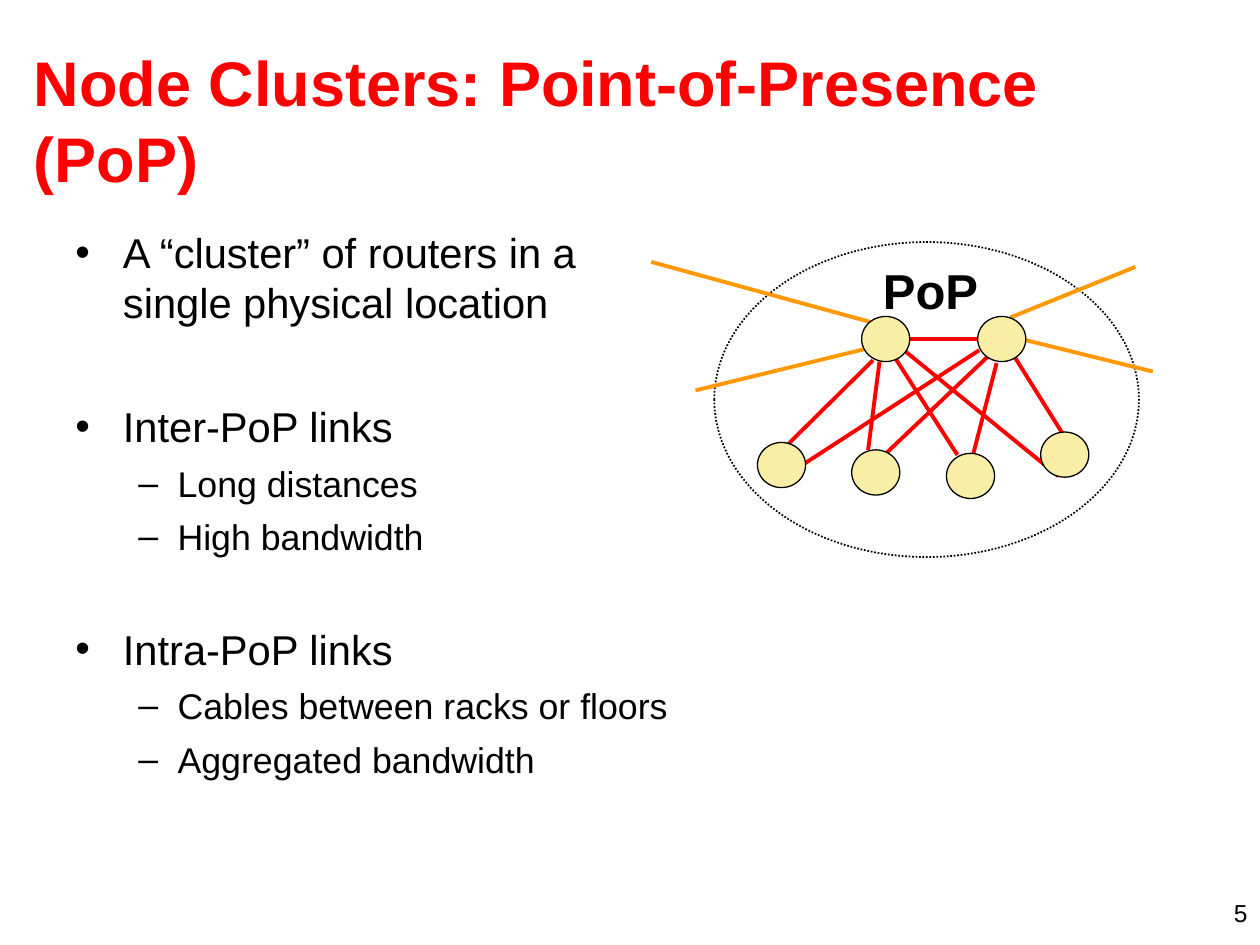
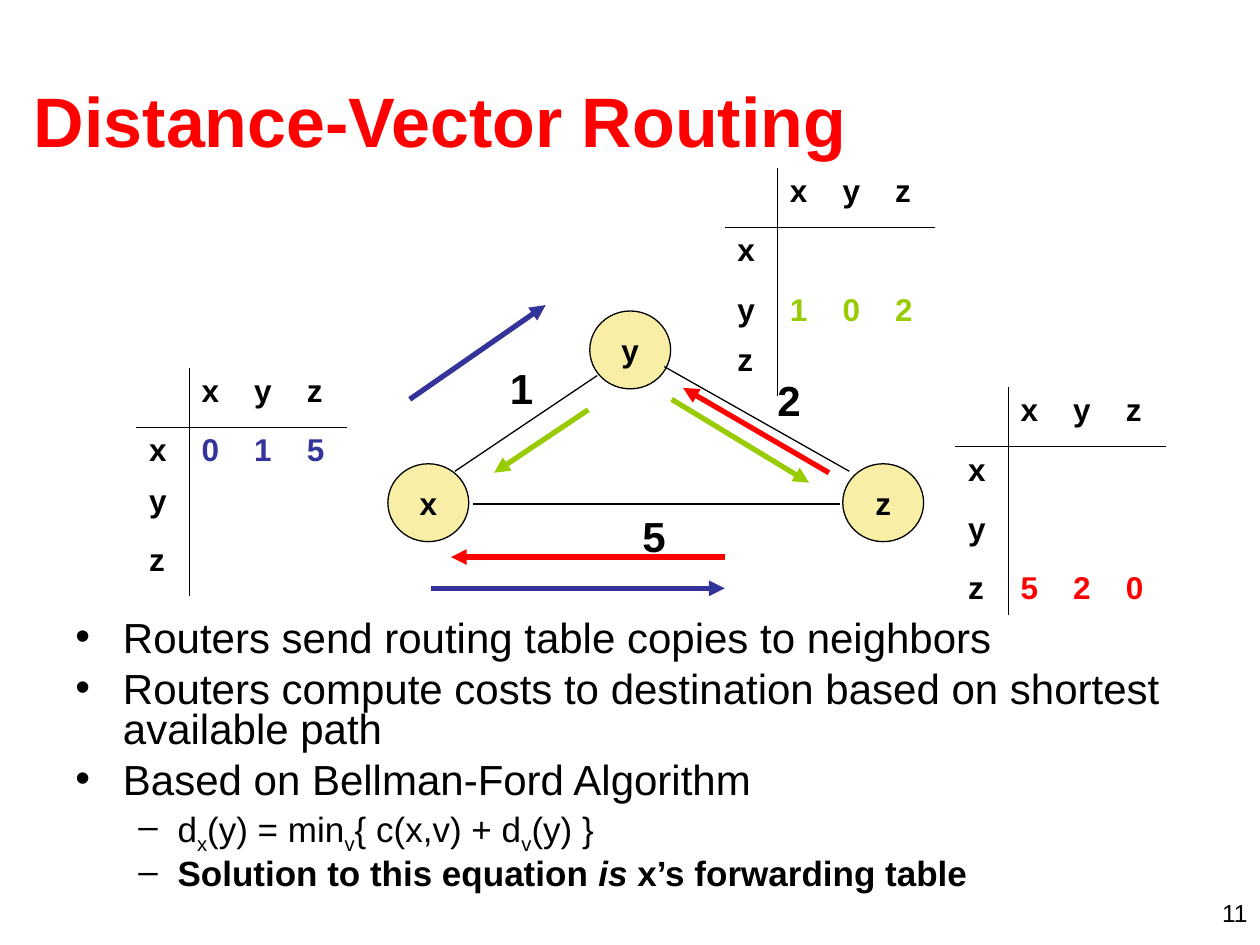
"""Build two networking slides: router clusters and distance-vector routing."""
from dataclasses import dataclass
from typing import NamedTuple

from lxml import etree
from pptx import Presentation
from pptx.dml.color import RGBColor
from pptx.enum.dml import MSO_LINE
from pptx.enum.shapes import MSO_CONNECTOR, MSO_SHAPE
from pptx.enum.text import MSO_ANCHOR, MSO_AUTO_SIZE, PP_ALIGN
from pptx.oxml.ns import qn
from pptx.util import Cm, Pt

LEFT, CENTER, RIGHT = PP_ALIGN.LEFT, PP_ALIGN.CENTER, PP_ALIGN.RIGHT
MIDDLE, TOP = MSO_ANCHOR.MIDDLE, MSO_ANCHOR.TOP
NO_AUTOFIT, GROW = MSO_AUTO_SIZE.NONE, MSO_AUTO_SIZE.SHAPE_TO_FIT_TEXT
OVAL, STRAIGHT, DOTTED = MSO_SHAPE.OVAL, MSO_CONNECTOR.STRAIGHT, MSO_LINE.ROUND_DOT
TITLE_ONLY = 5

FONT = "Arial"
BLACK, RED, ORANGE = "000000", "FF0000", "FF9900"
BLUE, GREEN, CREAM = "333399", "99CC00", "F8EEA6"
NODES = ("x", "y", "z")
EMPTY_CELL_SIZE = 22.2


class Box(NamedTuple):
    """Position and size in centimetres."""
    left: float
    top: float
    width: float
    height: float

    def lengths(self) -> list:
        """Give the four values as lengths."""
        return [Cm(value) for value in self]


class Link(NamedTuple):
    """Start and end of a line in centimetres."""
    x1: float
    y1: float
    x2: float
    y2: float


class Piece(NamedTuple):
    """A stretch of text with its own emphasis."""
    text: str
    bold: bool = False
    italic: bool = False
    subscript: bool = False


@dataclass
class Bullet:
    """One list entry with its level and the space above it."""
    pieces: list
    level: int = 0
    before: float = 0


@dataclass
class DistanceTable:
    """The distances one router knows, at a place on the slide."""
    router: str
    distances: str
    color: str
    left: float
    top: float


class BulletStyle(NamedTuple):
    """Mark and indents of a list level."""
    mark: str
    margin: float
    hanging: float


BULLET_STYLES = (BulletStyle("•", 0.96, 0.96), BulletStyle("–", 2.06, 0.79))

NUMBER_BOX = Box(19.48, 17.98, 5.92, 0.64)
TITLE_BOX = Box(0.43, 0.81, 24.33, 3.18)

POP_BULLETS = [
    Bullet([Piece("A “cluster” of routers in a single physical location")]),
    Bullet([Piece("Inter-PoP links")], before=42.5),
    Bullet([Piece("Long distances")], 1, 6),
    Bullet([Piece("High bandwidth")], 1, 6),
    Bullet([Piece("Intra-PoP links")], before=37.4),
    Bullet([Piece("Cables between racks or floors")], 1, 6),
    Bullet([Piece("Aggregated bandwidth")], 1, 6),
]
INTRA_POP_LINKS = [
    Link(21.34, 9.6, 18.26, 7.09), Link(18.06, 7.24, 19.3, 9.17),
    Link(18.29, 6.83, 19.71, 6.83), Link(17.6, 7.26, 15.7, 9.14),
    Link(17.5, 9.07, 17.73, 7.29), Link(19.74, 7.06, 15.98, 9.5),
    Link(17.83, 9.17, 19.91, 7.19), Link(20.09, 7.32, 19.61, 9.19),
    Link(21.69, 9.17, 20.45, 7.19),
]
INTER_POP_LINKS = [
    Link(17.58, 6.5, 13.13, 5.28), Link(20.37, 6.4, 22.89, 5.38),
    Link(20.57, 6.83, 23.24, 7.49), Link(17.42, 7.04, 14.02, 7.87),
]
POP_ROUTERS = [(17.37, 6.38), (19.71, 6.38), (17.17, 9.07),
               (15.27, 8.92), (19.08, 9.14), (20.98, 8.71)]

ROUTING_BULLETS = [
    Bullet([Piece("Routers send routing table copies to neighbors")]),
    Bullet([Piece("Routers compute costs to destination based on shortest available path")],
           before=6),
    Bullet([Piece("Based on Bellman-Ford Algorithm")], before=6),
    Bullet([Piece("d"), Piece("x", subscript=True), Piece("(y) = min"),
            Piece("v", subscript=True), Piece("{ c(x,v) + d"),
            Piece("v", subscript=True), Piece("(y) }")], 1, 5),
    Bullet([Piece("Solution to this equation ", bold=True),
            Piece("is", bold=True, italic=True),
            Piece(" x’s forwarding table", bold=True)], 1, 5),
]
DISTANCE_TABLES = [
    DistanceTable("x", "015", BLUE, 2.75, 7.41),
    DistanceTable("y", "102", GREEN, 14.61, 3.38),
    DistanceTable("z", "520", RED, 19.26, 7.8),
]
ROUTER_PLACES = {"y": (11.89, 6.27), "x": (7.82, 9.35), "z": (16.99, 9.35)}
EDGES = [Link(9.53, 10.16, 16.94, 10.16), Link(9.17, 9.5, 12.04, 7.57),
         Link(13.39, 7.39, 17.12, 9.5)]
EDGE_COSTS = {"1": (10.03, 7.19), "2": (15.42, 7.42), "5": (12.7, 10.16)}
FIRST_UPDATE = Link(8.26, 8.05, 11, 6.15)
LATER_UPDATES = [
    (Link(8.69, 11.86, 14.61, 11.86), BLUE),
    (Link(11.86, 8.26, 9.96, 9.53), GREEN),
    (Link(13.54, 8.05, 16.31, 9.73), GREEN),
    (Link(14.61, 11.23, 9.09, 11.23), RED),
    (Link(16.71, 9.53, 13.77, 7.82), RED),
]


def rgb(color: str) -> RGBColor:
    """Turn a hex string into a colour."""
    return RGBColor.from_string(color)


def write(paragraph, text: str, *, size: float, color: str = BLACK, bold: bool = False,
          italic: bool = False, subscript: bool = False, align=LEFT) -> None:
    """Append a formatted run to a paragraph."""
    paragraph.alignment = align
    run = paragraph.add_run()
    run.text = text
    font = run.font
    font.name, font.size, font.bold, font.italic = FONT, Pt(size), bold, italic
    font.color.rgb = rgb(color)
    if subscript:
        run._r.get_or_add_rPr().set("baseline", "-25000")


def add_label(slide, box: Box, text: str, *, wrap: bool = True, fit=NO_AUTOFIT,
              **style) -> None:
    """Add a text box holding one line."""
    frame = slide.shapes.add_textbox(*box.lengths()).text_frame
    frame.word_wrap = wrap
    frame.auto_size = fit
    write(frame.paragraphs[0], text, **style)


def add_bullets(slide, box: Box, bullets: list, sizes: tuple, spacing: float = 1.0) -> None:
    """Add a two-level bulleted list."""
    frame = slide.shapes.add_textbox(*box.lengths()).text_frame
    frame.word_wrap = True
    for index, bullet in enumerate(bullets):
        paragraph = frame.add_paragraph() if index else frame.paragraphs[0]
        style = BULLET_STYLES[bullet.level]
        properties = paragraph._p.get_or_add_pPr()
        properties.set("marL", str(Cm(style.margin)))
        properties.set("indent", str(-Cm(style.hanging)))
        mark_color = etree.SubElement(properties, qn("a:buClr"))
        etree.SubElement(mark_color, qn("a:srgbClr"), val=BLACK)
        etree.SubElement(properties, qn("a:buFont"), typeface=FONT)
        etree.SubElement(properties, qn("a:buChar"), char=style.mark)
        paragraph.level = bullet.level
        paragraph.line_spacing = spacing
        paragraph.space_before = Pt(bullet.before)
        for piece in bullet.pieces:
            write(paragraph, size=sizes[bullet.level], **piece._asdict())


def add_line(slide, link: Link, color: str, width: float, arrow: bool = False) -> None:
    """Draw a straight line, with an arrowhead at its end if asked."""
    connector = slide.shapes.add_connector(STRAIGHT, *[Cm(value) for value in link])
    connector.line.color.rgb = rgb(color)
    connector.line.width = Pt(width)
    if arrow:
        etree.SubElement(connector.line._get_or_add_ln(), qn("a:tailEnd"), type="triangle")
    etree.SubElement(connector._element.spPr, qn("a:effectLst"))


def add_oval(slide, box: Box, *, fill: str = "", width: float = 0.75, dash=None,
             text: str = "") -> None:
    """Draw an outlined ellipse with an optional fill and label."""
    oval = slide.shapes.add_shape(OVAL, *box.lengths())
    oval.shadow.inherit = False
    if fill:
        oval.fill.solid()
        oval.fill.fore_color.rgb = rgb(fill)
    else:
        oval.fill.background()
    oval.line.color.rgb = rgb(BLACK)
    oval.line.width = Pt(width)
    if dash:
        oval.line.dash_style = dash
    if text:
        frame = oval.text_frame
        frame.word_wrap = False
        frame.vertical_anchor = MIDDLE
        write(frame.paragraphs[0], text, size=18, bold=True, align=CENTER)


def set_borders(cell, sides: str) -> None:
    """Draw the named sides of a cell and clear the others."""
    properties = cell._tc.get_or_add_tcPr()
    for side in "LRTB":
        border = etree.SubElement(properties, qn(f"a:ln{side}"), w=str(Pt(0.45)))
        if side in sides:
            solid = etree.SubElement(border, qn("a:solidFill"))
            etree.SubElement(solid, qn("a:srgbClr"), val=BLACK)
        else:
            etree.SubElement(border, qn("a:noFill"))


def add_distance_table(slide, data: DistanceTable) -> None:
    """Add a table with only the owner's row of distances filled in."""
    count = len(NODES) + 1
    box = Box(data.left, data.top, 1.06 * count, 1.02 * count)
    table = slide.shapes.add_table(count, count, *box.lengths()).table
    table.first_row = table.horz_banding = False
    rows = [("", *NODES)]
    rows += [(node, *(data.distances if node == data.router else " " * len(NODES)))
             for node in NODES]
    for r, row in enumerate(rows):
        for c, text in enumerate(row):
            cell = table.cell(r, c)
            sides = {0: "R", 1: "L"}.get(c, "") + {0: "B", 1: "T"}.get(r, "")
            set_borders(cell, sides)
            cell.fill.background()
            cell.vertical_anchor = TOP
            paragraph = cell.text_frame.paragraphs[0]
            if text.strip():
                write(paragraph, text, size=18, bold=True,
                      color=data.color if r and c else BLACK)
            else:
                paragraph._p.get_or_add_endParaRPr().set("sz", str(round(EMPTY_CELL_SIZE * 100)))


def add_slide(deck, title: str, title_size: float, number: str):
    """Start a slide with its title and page number."""
    slide = deck.slides.add_slide(deck.slide_layouts[TITLE_ONLY])
    add_label(slide, NUMBER_BOX, number, size=14, align=RIGHT)
    heading = slide.shapes.title
    heading.left, heading.top, heading.width, heading.height = TITLE_BOX.lengths()
    frame = heading.text_frame
    frame.word_wrap = True
    frame.auto_size = NO_AUTOFIT
    frame.vertical_anchor = MIDDLE
    write(frame.paragraphs[0], title, size=title_size, color=RED, bold=True)
    return slide


def build_pop_slide(deck) -> None:
    """Explain points of presence beside a diagram of one."""
    slide = add_slide(deck, "Node Clusters: Point-of-Presence (PoP)", 36, "5")
    add_bullets(slide, Box(1.27, 4.45, 12.9, 11.86), POP_BULLETS, (23.8, 20.4))
    for link in INTRA_POP_LINKS:
        add_line(slide, link, RED, 2.25)
    add_oval(slide, Box(14.4, 4.88, 8.56, 6.35), width=1, dash=DOTTED)
    for link in INTER_POP_LINKS:
        add_line(slide, link, ORANGE, 2.25)
    add_label(slide, Box(17.5, 5.13, 2.52, 1.45), "PoP", wrap=False, fit=GROW, size=28,
              bold=True, align=CENTER)
    for place in POP_ROUTERS:
        add_oval(slide, Box(*place, 0.97, 0.91), fill=CREAM)


def build_routing_slide(deck) -> None:
    """Show three routers exchanging their distance tables."""
    slide = add_slide(deck, "Distance-Vector Routing", 40, "11")
    add_bullets(slide, Box(1.27, 12.4, 22.86, 6.02), ROUTING_BULLETS, (24, 20), 0.8)
    for data in DISTANCE_TABLES:
        add_distance_table(slide, data)
    add_line(slide, FIRST_UPDATE, BLUE, 3, arrow=True)
    for router, place in ROUTER_PLACES.items():
        add_oval(slide, Box(*place, 1.63, 1.57), fill=CREAM, text=router)
    for edge in EDGES:
        add_line(slide, edge, BLACK, 0.75)
    for cost, place in EDGE_COSTS.items():
        add_label(slide, Box(*place, 1.19, 1.27), cost, fit=GROW, size=24, bold=True)
    for link, color in LATER_UPDATES:
        add_line(slide, link, color, 3, arrow=True)


def main() -> None:
    """Build and save the deck."""
    deck = Presentation()
    deck.slide_width, deck.slide_height = Cm(25.4), Cm(19.05)
    build_pop_slide(deck)
    build_routing_slide(deck)
    deck.save("out.pptx")


if __name__ == "__main__":
    main()
